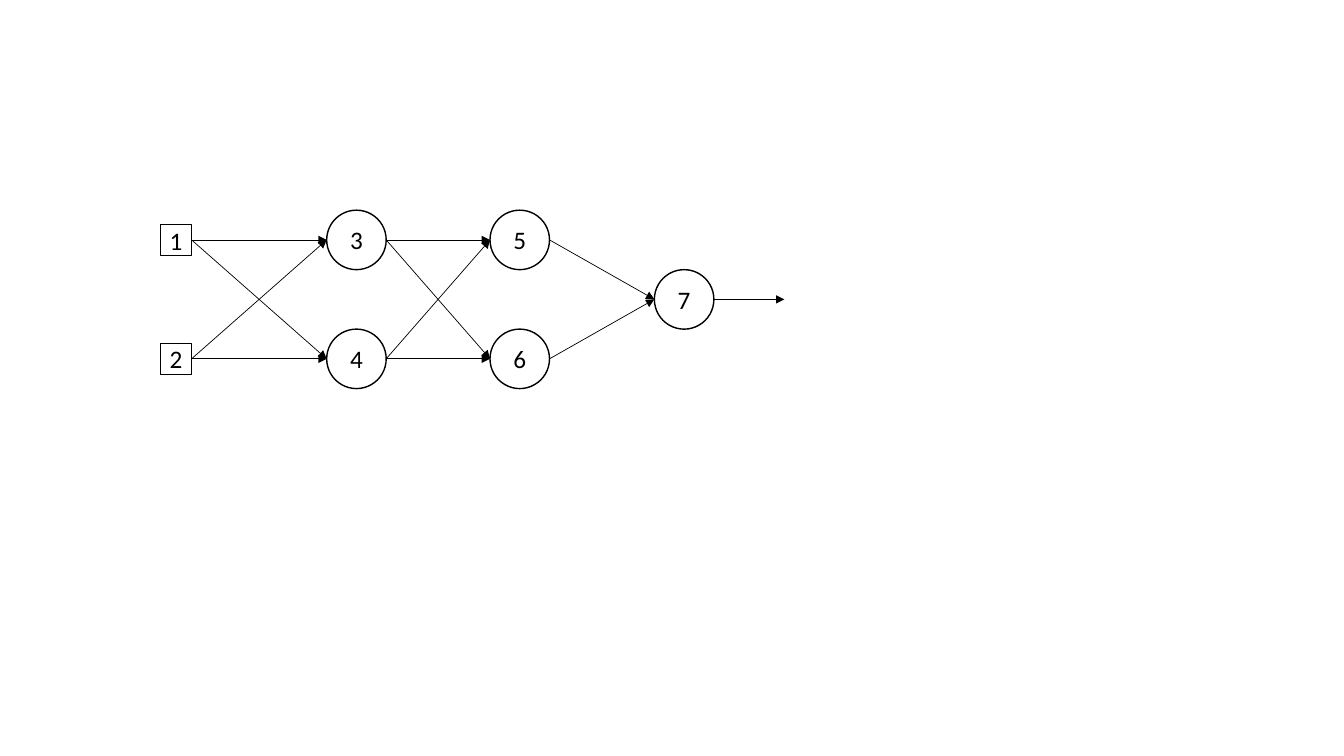
from pptx import Presentation
from pptx.dml.color import RGBColor
from pptx.enum.shapes import MSO_CONNECTOR, MSO_SHAPE
from pptx.enum.text import MSO_ANCHOR, PP_ALIGN
from pptx.oxml.ns import qn
from pptx.util import Inches, Pt
from lxml import etree

BLACK = RGBColor(0x00, 0x00, 0x00)
OVAL = MSO_SHAPE.OVAL
SQUARE = MSO_SHAPE.RECTANGLE
STRAIGHT = MSO_CONNECTOR.STRAIGHT
MIDDLE = MSO_ANCHOR.MIDDLE
CENTER = PP_ALIGN.CENTER

NEURON_SIZE = 0.59
INPUT_SIZE = 0.31
TOP_ROW, MIDDLE_ROW, BOTTOM_ROW = 2.38, 2.97, 3.56
OUTPUT_END = 7.78

# label: (shape, size, left, vertical centre)
NODES = {
    "1": (SQUARE, INPUT_SIZE, 1.59, TOP_ROW),
    "2": (SQUARE, INPUT_SIZE, 1.59, BOTTOM_ROW),
    "3": (OVAL, NEURON_SIZE, 3.24, TOP_ROW),
    "4": (OVAL, NEURON_SIZE, 3.24, BOTTOM_ROW),
    "5": (OVAL, NEURON_SIZE, 4.86, TOP_ROW),
    "6": (OVAL, NEURON_SIZE, 4.86, BOTTOM_ROW),
    "7": (OVAL, NEURON_SIZE, 6.49, MIDDLE_ROW),
}
LAYERS = ["12", "34", "56", "7"]

presentation = Presentation()
presentation.slide_width = Inches(13.33)
presentation.slide_height = Inches(7.5)
slide = presentation.slides.add_slide(presentation.slide_layouts[6])


def add_arrow(start_x, start_y, end_x, end_y):
    arrow = slide.shapes.add_connector(
        STRAIGHT, Inches(start_x), Inches(start_y), Inches(end_x), Inches(end_y)
    )
    arrow.line.color.rgb = BLACK
    arrow.line.width = Pt(0.5)
    properties = arrow.line._get_or_add_ln()
    etree.SubElement(properties, qn("a:tailEnd"), type="triangle")
    etree.SubElement(arrow._element.spPr, qn("a:effectLst"))


for label, (kind, size, left, center_y) in NODES.items():
    node = slide.shapes.add_shape(
        kind, Inches(left), Inches(center_y - size / 2), Inches(size), Inches(size)
    )
    node.shadow.inherit = False
    node.fill.background()
    node.line.color.rgb = BLACK
    node.line.width = Pt(1)
    frame = node.text_frame
    frame.margin_left = frame.margin_right = 0
    frame.margin_top = frame.margin_bottom = 0
    frame.vertical_anchor = MIDDLE
    paragraph = frame.paragraphs[0]
    paragraph.text = label
    paragraph.alignment = CENTER
    paragraph.font.name = "Calibri"
    paragraph.font.size = Pt(18)
    paragraph.font.color.rgb = BLACK

# Every node feeds every node of the next layer.
for sources, targets in zip(LAYERS, LAYERS[1:]):
    for source in sources:
        _, size, left, center_y = NODES[source]
        for target in targets:
            _, _, target_left, target_y = NODES[target]
            add_arrow(left + size, center_y, target_left, target_y)

_, size, left, center_y = NODES["7"]
add_arrow(left + size, center_y, OUTPUT_END, center_y)

presentation.save("out.pptx")
